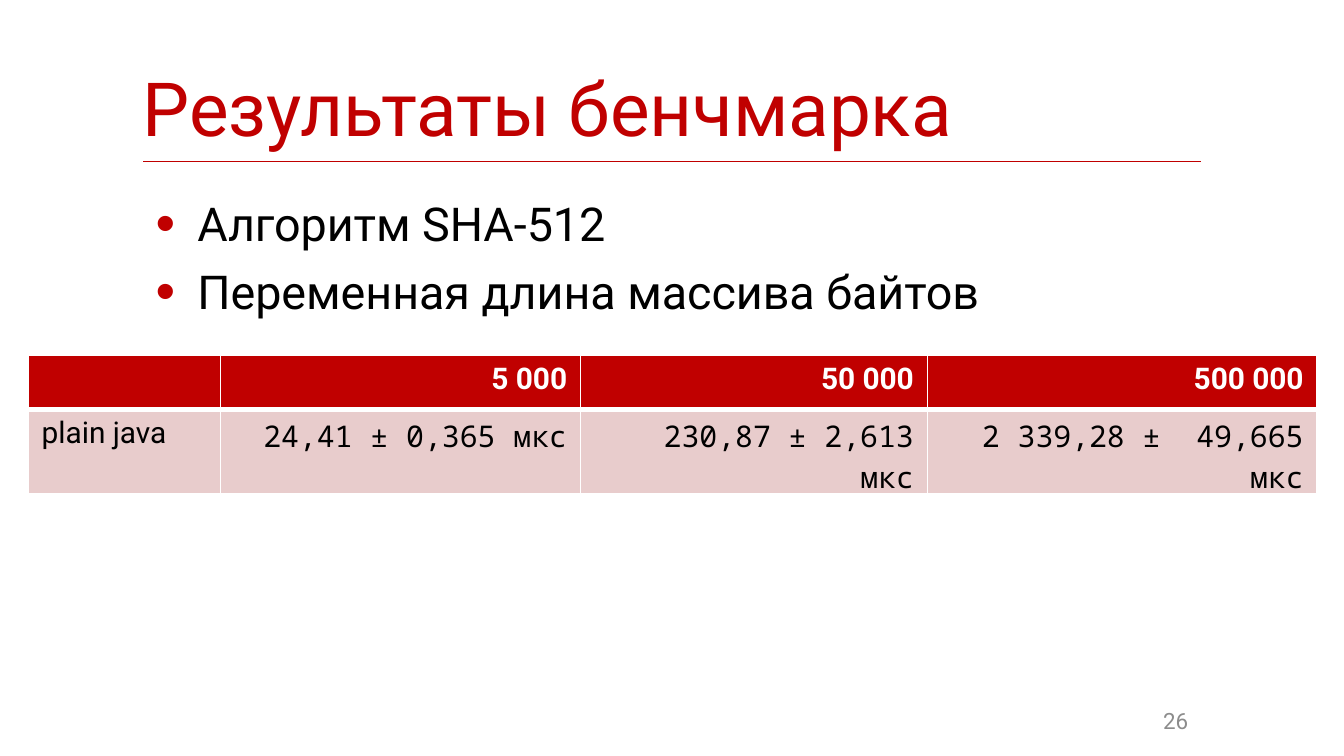
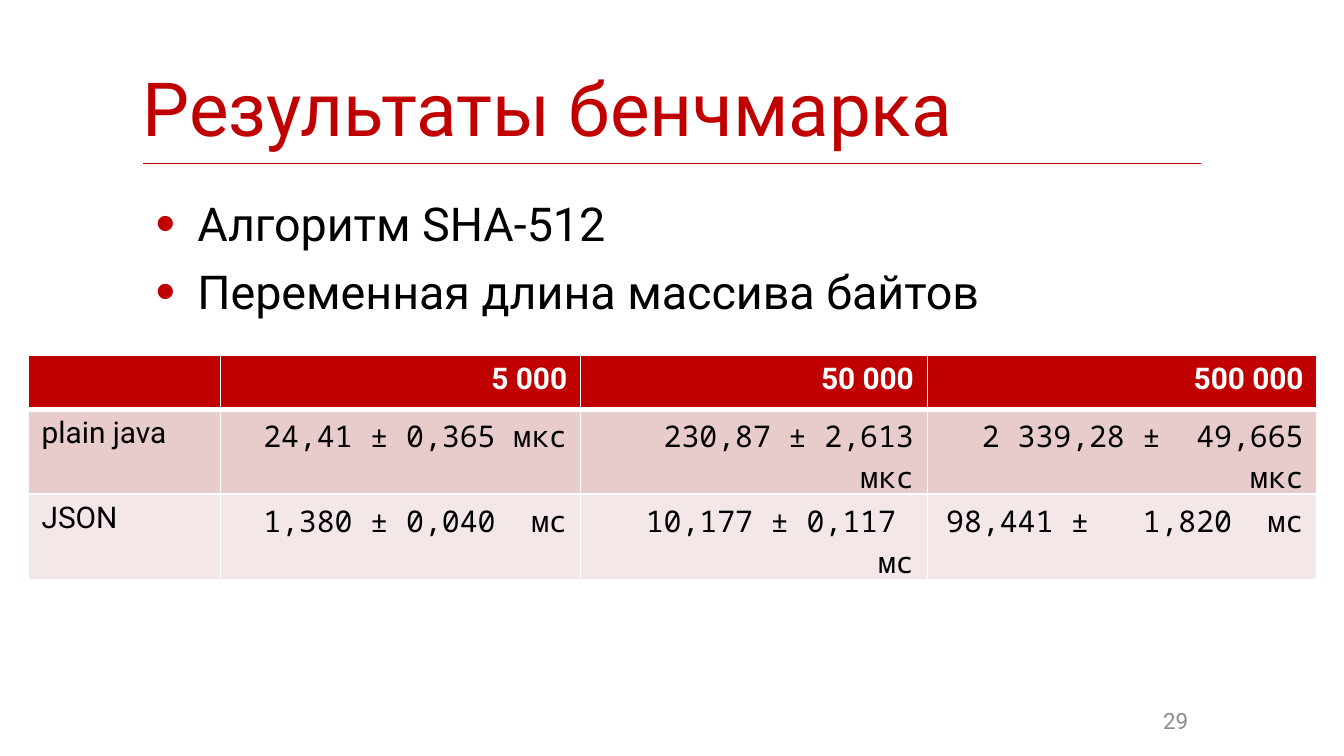
from dataclasses import dataclass

from lxml import etree
from pptx import Presentation
from pptx import util as u
from pptx.dml.color import RGBColor
from pptx.enum import text as t
from pptx.oxml import ns


@dataclass(frozen=True)
class Theme:
    accent: str = "C00000"
    ink: str = "000000"
    paper: str = "FFFFFF"
    muted: str = "8C8C8C"
    bands: tuple[str, ...] = ("E8CCCC", "F4E7E7")
    font: str = "Roboto"
    mono: str = "Noto Sans Mono"
    title_size: float = 40
    bullet_size: float = 25
    table_size: float = 16
    number_size: float = 12
    bullet_gap: float = 6.5
    thin: float = 1
    thick: float = 3


@dataclass(frozen=True)
class Box:
    column: float
    row: float
    columns: float
    rows: float


@dataclass(frozen=True)
class ResultSlide:
    number: int
    results: tuple[tuple[str, ...], ...]


THEME = Theme()
WIDTH, HEIGHT = u.Inches(10), u.Inches(5.625)
COLUMN, ROW = WIDTH / 100, HEIGHT / 100
TITLE_BOX = Box(10.6, 8, 78.8, 13.7)
BULLET_BOX = Box(10.6, 24.9, 78.8, 57.4)
NUMBER_BOX = Box(71.7, 92.6, 17.7, 5.3)
RESULT_COLUMNS = (14.3, 26.8, 25.8, 29)
RESULT_LEFT, RESULT_TOP = 2.1, 47
HEADER_ROWS, BODY_ROWS = 6.4, 7.3

TITLE = "Результаты бенчмарка"
BULLETS = ("Алгоритм SHA-512", "Переменная длина массива байтов")
HEADER = ("", "5 000", "50 000", "500 000")
PLAIN_JAVA = ("plain java", "24,41 ± 0,365 мкс", "230,87 ± 2,613 мкс", "2 339,28 ±  49,665 мкс")
JSON = ("JSON", "1,380 ± 0,040  мс", "10,177 ± 0,117  мс", "98,441 ±   1,820  мс")
SLIDES = (ResultSlide(26, (PLAIN_JAVA,)), ResultSlide(29, (PLAIN_JAVA, JSON)))


def place(box: Box) -> tuple[int, int, int, int]:
    return (
        round(box.column * COLUMN),
        round(box.row * ROW),
        round(box.columns * COLUMN),
        round(box.rows * ROW),
    )


def write(paragraph, content: str, *, size: float, color: str = THEME.ink,
          font: str = THEME.font, bold: bool = False, right: bool = False) -> None:
    paragraph.alignment = t.PP_ALIGN.RIGHT if right else t.PP_ALIGN.LEFT
    run = paragraph.add_run()
    run.text = content
    run.font.size = u.Pt(size)
    run.font.name = font
    run.font.bold = bold
    run.font.color.rgb = RGBColor.from_string(color)


def add_color(parent, color: str) -> None:
    etree.SubElement(parent, ns.qn("a:srgbClr"), val=color)


def add_bullet(paragraph) -> None:
    properties = paragraph._p.get_or_add_pPr()
    indent = u.Inches(0.31)
    properties.set("marL", str(indent))
    properties.set("indent", str(-indent))
    add_color(etree.SubElement(properties, ns.qn("a:buClr")), THEME.accent)
    etree.SubElement(properties, ns.qn("a:buSzPct"), val="120000")
    etree.SubElement(properties, ns.qn("a:buFont"), typeface="Arial")
    etree.SubElement(properties, ns.qn("a:buChar"), char="•")


def set_borders(cell, *, top: float = THEME.thin, bottom: float = THEME.thin,
                bottom_color: str = THEME.paper) -> None:
    properties = cell._tc.get_or_add_tcPr()
    sides = (
        ("lnL", THEME.thin, THEME.paper),
        ("lnR", THEME.thin, THEME.paper),
        ("lnT", top, THEME.paper),
        ("lnB", bottom, bottom_color),
    )
    for position, (side, width, color) in enumerate(sides):
        line = etree.Element(ns.qn(f"a:{side}"), w=str(u.Pt(width)))
        add_color(etree.SubElement(line, ns.qn("a:solidFill")), color)
        properties.insert(position, line)


def add_grid(slide, box: Box, columns: tuple[float, ...], rows: tuple[float, ...]):
    frame = slide.shapes.add_table(len(rows), len(columns), *place(box))
    table = frame.table
    table.first_row = table.horz_banding = False
    for column, width in zip(table.columns, columns):
        column.width = round(width * COLUMN)
    for row, height in zip(table.rows, rows):
        row.height = round(height * ROW)
    frame.height = round(box.rows * ROW)
    return table


def add_title(slide) -> None:
    cell = add_grid(slide, TITLE_BOX, (TITLE_BOX.columns,), (BODY_ROWS,)).cell(0, 0)
    cell.fill.background()
    cell.margin_left = 0
    set_borders(cell, bottom_color=THEME.accent)
    write(cell.text_frame.paragraphs[0], TITLE, size=THEME.title_size, color=THEME.accent)


def add_text_frame(slide, box: Box):
    frame = slide.shapes.add_textbox(*place(box)).text_frame
    frame.word_wrap = True
    return frame


def add_bullets(slide) -> None:
    frame = add_text_frame(slide, BULLET_BOX)
    for index, content in enumerate(BULLETS):
        paragraph = frame.add_paragraph() if index else frame.paragraphs[0]
        add_bullet(paragraph)
        if index:
            paragraph.space_before = u.Pt(THEME.bullet_gap)
        write(paragraph, content, size=THEME.bullet_size)


def add_number(slide, number: int) -> None:
    frame = add_text_frame(slide, NUMBER_BOX)
    frame.vertical_anchor = t.MSO_ANCHOR.MIDDLE
    write(frame.paragraphs[0], str(number), size=THEME.number_size,
          color=THEME.muted, right=True)


def add_results(slide, results: tuple[tuple[str, ...], ...]) -> None:
    box = Box(RESULT_LEFT, RESULT_TOP, sum(RESULT_COLUMNS),
              HEADER_ROWS + BODY_ROWS * len(results))
    table = add_grid(slide, box, RESULT_COLUMNS, (0,) + (BODY_ROWS,) * len(results))
    fills = (THEME.accent, *THEME.bands)
    for row, (values, fill) in enumerate(zip((HEADER, *results), fills)):
        header = row == 0
        for column, value in enumerate(values):
            cell = table.cell(row, column)
            cell.fill.solid()
            cell.fill.fore_color.rgb = RGBColor.from_string(fill)
            set_borders(cell, top=THEME.thick if row == 1 else THEME.thin,
                        bottom=THEME.thick if header else THEME.thin)
            write(cell.text_frame.paragraphs[0], value, size=THEME.table_size,
                  color=THEME.paper if header else THEME.ink,
                  font=THEME.font if header or column == 0 else THEME.mono,
                  bold=header, right=column > 0)


def main() -> None:
    presentation = Presentation()
    presentation.slide_width, presentation.slide_height = WIDTH, HEIGHT
    for content in SLIDES:
        slide = presentation.slides.add_slide(presentation.slide_layouts[6])
        add_title(slide)
        add_bullets(slide)
        add_number(slide, content.number)
        add_results(slide, content.results)
    presentation.save("out.pptx")


if __name__ == "__main__":
    main()
